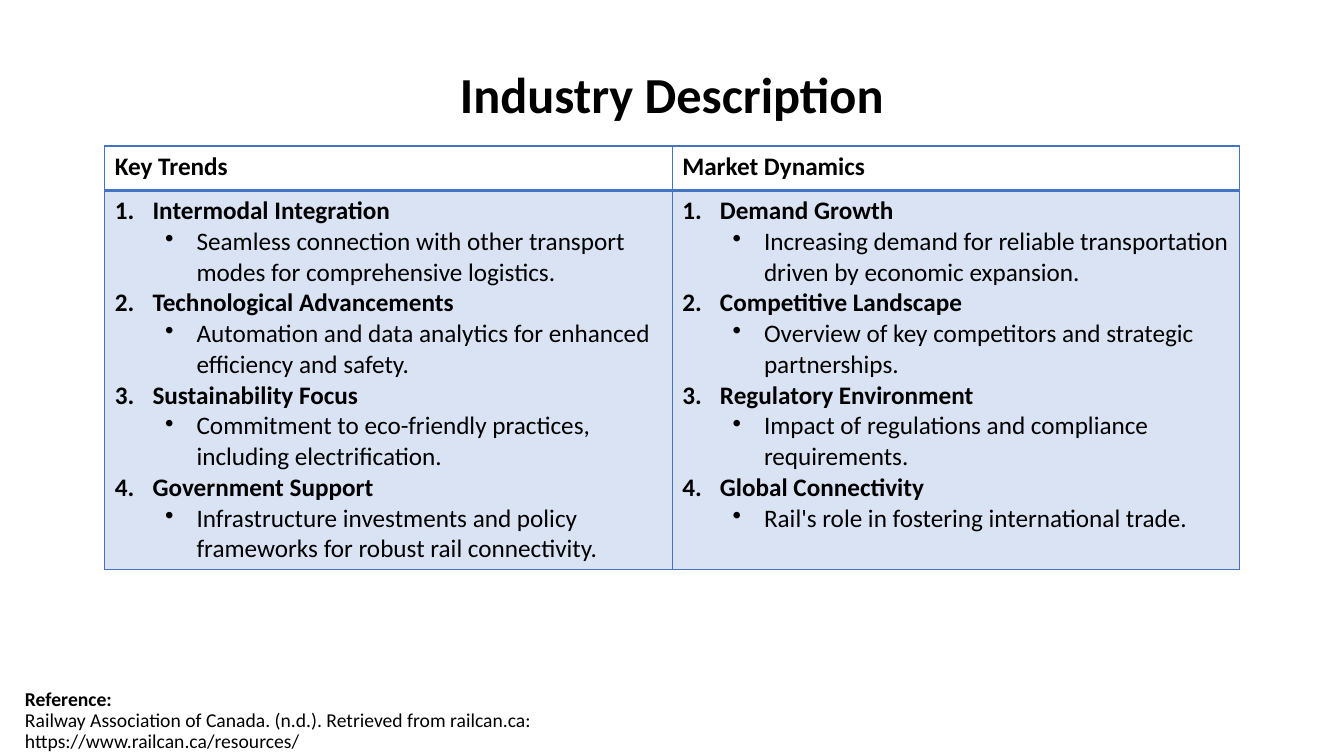
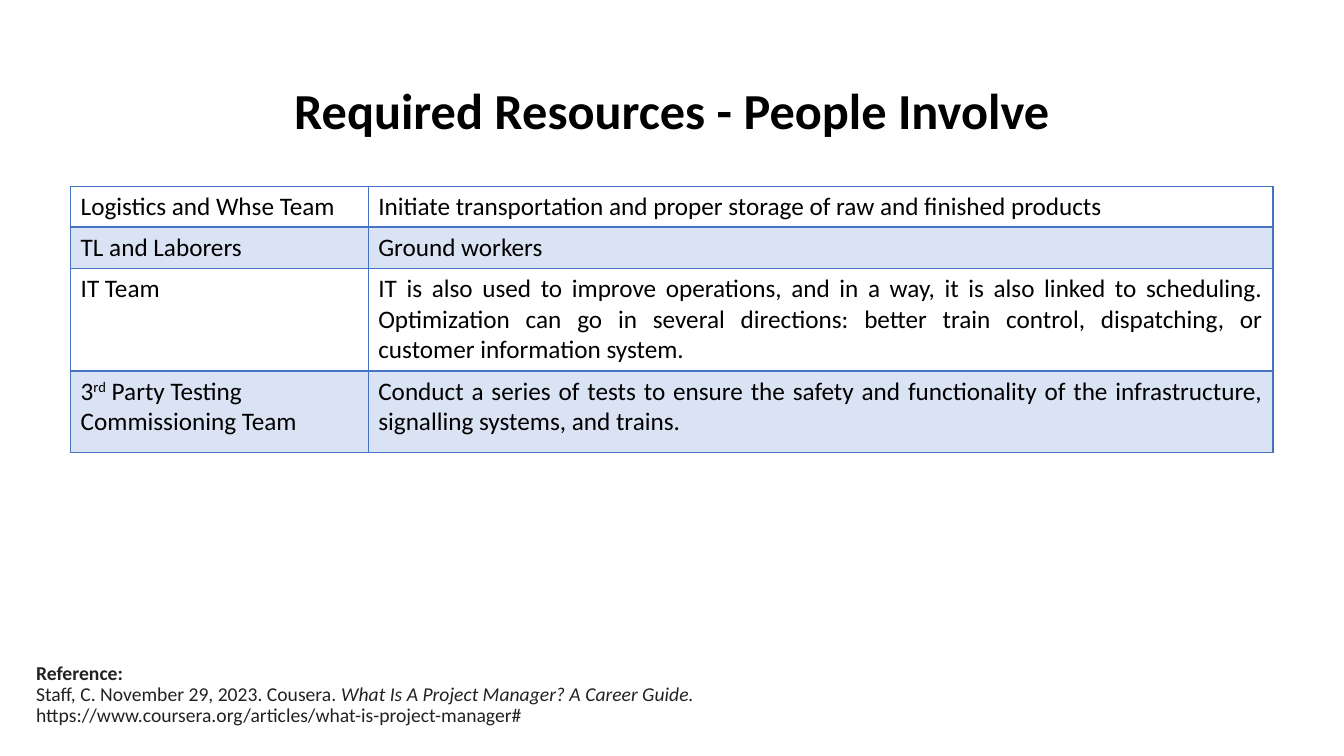
import pptx
import pptx.dml.color
import pptx.enum.text
import pptx.oxml.ns
import pptx.util
from lxml import etree
from pptx.util import Cm

FONT = "Calibri"
BLACK, DARK_GREY, BLUE, PALE_BLUE = "000000", "222222", "4472C4", "DAE3F3"
ALIGN = pptx.enum.text.PP_ALIGN
ANCHOR = pptx.enum.text.MSO_ANCHOR
TITLE_ONLY = 5

# Content: heading and detail pairs for each column
TRENDS = {
    "Key Trends": [
        ("Intermodal Integration",
         "Seamless connection with other transport modes for comprehensive logistics."),
        ("Technological Advancements",
         "Automation and data analytics for enhanced efficiency and safety."),
        ("Sustainability Focus",
         "Commitment to eco-friendly practices, including electrification."),
        ("Government Support",
         "Infrastructure investments and policy frameworks for robust rail connectivity."),
    ],
    "Market Dynamics": [
        ("Demand Growth",
         "Increasing demand for reliable transportation driven by economic expansion."),
        ("Competitive Landscape",
         "Overview of key competitors and strategic partnerships."),
        ("Regulatory Environment",
         "Impact of regulations and compliance requirements."),
        ("Global Connectivity",
         "Rail's role in fostering international trade."),
    ],
}

# Team paragraphs (each a list of runs) and the team's role
TEAMS = [
    ([["Logistics and Whse Team"]],
     "Initiate transportation and proper storage of raw and finished products"),
    ([["TL and Laborers"]], "Ground workers"),
    ([["IT Team"]],
     "IT is also used to improve operations, and in a way, it is also linked to scheduling. "
     "Optimization can go in several directions: better train control, dispatching, or "
     "customer information system."),
    ([["3", ("rd", "superscript"), " Party Testing"], ["Commissioning Team"]],
     "Conduct a series of tests to ensure the safety and functionality of the "
     "infrastructure, signalling systems, and trains."),
]

RAIL_REFERENCE = [
    ["Railway Association of Canada. (n.d.). Retrieved from railcan.ca:"],
    ["https://www.railcan.ca/resources/"],
]
MANAGER_REFERENCE = [
    ["Staff, C. November 29, 2023. Cousera. ",
     ("What Is A Project Manager? A Career Guide.", "italic")],
    ["https://www.coursera.org/articles/what-is-project-manager#"],
]


def colour(value):
    return pptx.dml.color.RGBColor.from_string(value)


def add_element(parent, tag, **attributes):
    return etree.SubElement(parent, pptx.oxml.ns.qn(tag), **attributes)


def write(frame, index, runs, size=18, bold=False, tone=BLACK, align=ALIGN.LEFT,
          spacing=None, bullet=None):
    """Fill paragraph number index of a text frame with runs."""
    paragraph = frame.paragraphs[0] if index == 0 else frame.add_paragraph()
    paragraph.alignment = align
    paragraph.line_spacing = spacing
    if bullet:
        paragraph.level, indent, hanging, tag, attributes = bullet
        properties = paragraph._p.get_or_add_pPr()
        properties.set("marL", str(indent))
        properties.set("indent", str(-hanging))
        add_element(properties, tag, **attributes)
    font = paragraph.font
    font.name, font.size, font.bold = FONT, pptx.util.Pt(size), bold
    font.color.rgb = colour(tone)
    for item in runs:
        text, style = (item, None) if isinstance(item, str) else item
        run = paragraph.add_run()
        run.text = text
        if style == "italic":
            run.font.italic = True
        elif style == "superscript":
            run.font._element.set("baseline", "30000")


NUMBERED = (0, Cm(0.95), Cm(0.95), "a:buAutoNum", {"type": "arabicPeriod"})
BULLETED = (1, Cm(2.06), Cm(0.79), "a:buChar", {"char": "•"})


def add_titled_slide(presentation, title, height):
    slide = presentation.slides.add_slide(presentation.slide_layouts[TITLE_ONLY])
    shape = slide.shapes.title
    shape.left, shape.top, shape.width, shape.height = Cm(2.33), Cm(1.01), Cm(29.21), height
    shape.text_frame.vertical_anchor = ANCHOR.MIDDLE
    write(shape.text_frame, 0, [title], size=36, bold=True, align=ALIGN.CENTER, spacing=0.9)
    return slide


def add_reference(slide, box, lines, tone, align):
    frame = slide.shapes.add_textbox(*box).text_frame
    frame.word_wrap = True
    for index, runs in enumerate([["Reference:"]] + lines):
        write(frame, index, runs, size=14, bold=index == 0, tone=tone, align=align, spacing=0.9)


def add_grid(slide, left, top, widths, heights, header_rule):
    """Add a blue-ruled table whose every second row is tinted."""
    table = slide.shapes.add_table(len(heights), len(widths), left, top,
                                   sum(widths), sum(heights)).table
    table.first_row = table.horz_banding = False
    for column, width in zip(table.columns, widths):
        column.width = width
    for number, (row, height) in enumerate(zip(table.rows, heights)):
        row.height = height
        for cell in row.cells:
            properties = cell._tc.get_or_add_tcPr()
            for side in "LRTB":
                under_header = (number, side) in ((0, "B"), (1, "T"))
                weight = pptx.util.Pt(header_rule if under_header else 1)
                line = add_element(properties, f"a:ln{side}", w=str(weight))
                add_element(add_element(line, "a:solidFill"), "a:srgbClr", val=BLUE)
            if number % 2:
                cell.fill.solid()
                cell.fill.fore_color.rgb = colour(PALE_BLUE)
            else:
                cell.fill.background()
    return table


def build_industry(presentation):
    slide = add_titled_slide(presentation, "Industry Description", Cm(2.9))
    table = add_grid(slide, Cm(2.64), Cm(3.68), [Cm(14.3)] * 2, [Cm(1.12), Cm(9.55)], 2)
    for column, (heading, topics) in enumerate(TRENDS.items()):
        write(table.cell(0, column).text_frame, 0, [heading], bold=True)
        frame = table.cell(1, column).text_frame
        for index, (topic, detail) in enumerate(topics):
            write(frame, 2 * index, [topic], bold=True, bullet=NUMBERED)
            write(frame, 2 * index + 1, [detail], bullet=BULLETED)
    add_reference(slide, (Cm(0.38), Cm(17.25), Cm(33.12), Cm(1.8)),
                  RAIL_REFERENCE, BLACK, ALIGN.LEFT)


def build_resources(presentation):
    slide = add_titled_slide(presentation, "Required Resources - People Involve", Cm(3.68))
    add_reference(slide, (Cm(0.66), Cm(16.59), Cm(29.64), Cm(1.88)),
                  MANAGER_REFERENCE, DARK_GREY, ALIGN.JUSTIFY)
    table = add_grid(slide, Cm(1.78), Cm(4.7), [Cm(7.5), Cm(22.8)],
                     [Cm(1.03), Cm(1.03), Cm(2.59), Cm(2.06)], 1.5)
    for row, (team, role) in enumerate(TEAMS):
        for index, runs in enumerate(team):
            write(table.cell(row, 0).text_frame, index, runs)
        write(table.cell(row, 1).text_frame, 0, [role], align=ALIGN.JUSTIFY)


def main():
    presentation = pptx.Presentation()
    presentation.slide_width, presentation.slide_height = Cm(33.87), Cm(19.05)
    build_industry(presentation)
    build_resources(presentation)
    presentation.save("out.pptx")


if __name__ == "__main__":
    main()
